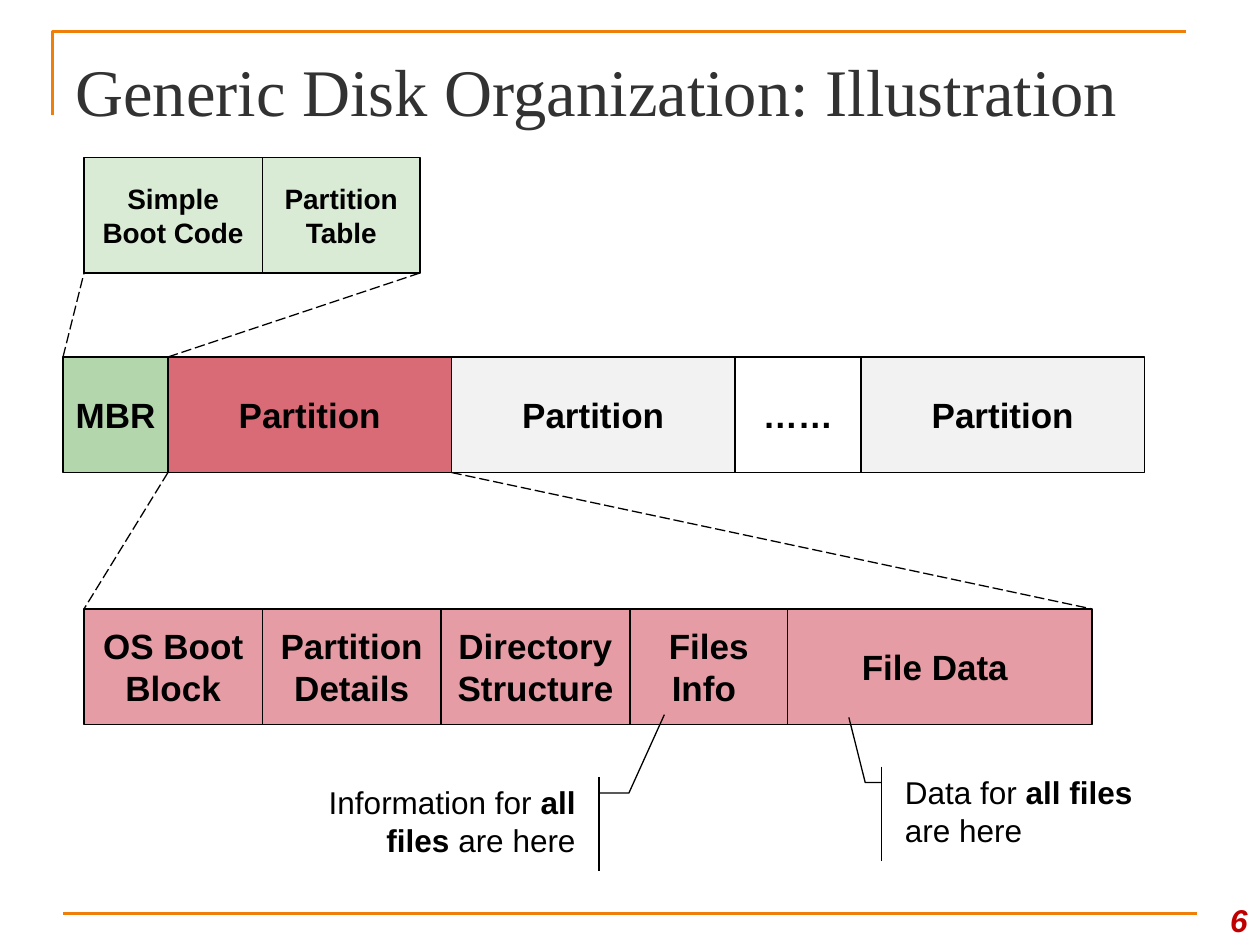
from itertools import pairwise

from lxml import etree
from pptx import Presentation
from pptx import util as u
from pptx.dml.color import RGBColor
from pptx.enum import dml, shapes, text
from pptx.oxml.ns import qn

BLACK, ORANGE = "000000", "F07F09"
GREEN, PALE_GREEN = "B3D6AC", "D9EAD5"
RED, PALE_RED = "D96B77", "E69CA4"
GREY, WHITE = "F2F2F2", "FFFFFF"
ROW_HEIGHT = 11


def color(hex_string):
    return RGBColor.from_string(hex_string)


def grid(steps):
    """Length on the diagram grid, twelve steps to 2.54 cm."""
    return u.Cm(steps * 2.54 / 12)


def style_line(line, hex_string, width):
    line.color.rgb = color(hex_string)
    line.width = u.Pt(width)


def style_font(font, size, hex_string=BLACK, name="Arial", bold=None, italic=None):
    font.name, font.size = name, u.Pt(size)
    font.bold, font.italic = bold, italic
    font.color.rgb = color(hex_string)


def add_label(slide, place, words, align, **font):
    box = slide.shapes.add_textbox(*(u.Cm(length) for length in place))
    frame = box.text_frame
    frame.word_wrap = True
    frame.vertical_anchor = text.MSO_ANCHOR.BOTTOM
    paragraph = frame.paragraphs[0]
    paragraph.text, paragraph.alignment = words, align
    style_font(paragraph.font, **font)


def add_row(slide, top, edges, cells, size, wrap=True):
    """Adjoining boxes between the given edges, all in grid steps."""
    for (left, right), (words, fill) in zip(pairwise(edges), cells):
        cell = slide.shapes.add_shape(
            shapes.MSO_SHAPE.RECTANGLE,
            grid(left), grid(top), grid(right - left), grid(ROW_HEIGHT))
        cell.shadow.inherit = False
        cell.fill.solid()
        cell.fill.fore_color.rgb = color(fill)
        style_line(cell.line, BLACK, 0.75)
        frame = cell.text_frame
        frame.word_wrap = wrap
        frame.vertical_anchor = text.MSO_ANCHOR.MIDDLE
        paragraph = frame.paragraphs[0]
        paragraph.text, paragraph.alignment = words, text.PP_ALIGN.CENTER
        style_font(paragraph.font, size, bold=True)


def add_line(slide, start, end, hex_string=BLACK, width=0.75, dash=None):
    line = slide.shapes.add_connector(
        shapes.MSO_CONNECTOR.STRAIGHT, *map(grid, start + end))
    style_line(line.line, hex_string, width)
    line.line.dash_style = dash
    etree.SubElement(line._element.spPr, qn("a:effectLst"))


def add_callout(slide, place, adjustments, lead, align):
    callout = slide.shapes.add_shape(
        shapes.MSO_SHAPE.LINE_CALLOUT_2_ACCENT_BAR, *map(grid, place))
    for index, value in enumerate(adjustments):
        callout.adjustments[index] = value
    callout.shadow.inherit = False
    callout.fill.background()
    style_line(callout.line, BLACK, 0.75)
    frame = callout.text_frame
    frame.word_wrap = True
    frame.vertical_anchor = text.MSO_ANCHOR.TOP
    paragraph = frame.paragraphs[0]
    paragraph.alignment = align
    style_font(paragraph.font, 18)
    for words, bold in ((lead, False), ("all files ", True), ("are here", False)):
        run = paragraph.add_run()
        run.text, run.font.bold = words, bold


def add_corner(slide):
    """Open angle above and left of the title."""
    builder = slide.shapes.build_freeform(grid(5), grid(11))
    builder.add_line_segments(
        [(grid(5), grid(3)), (grid(113), grid(3))], close=False)
    corner = builder.convert_to_shape()
    corner.shadow.inherit = False
    corner.fill.background()
    style_line(corner.line, ORANGE, 1.5)


def main():
    prs = Presentation()
    prs.slide_width, prs.slide_height = u.Cm(25.4), u.Cm(19.05)
    slide = prs.slides.add_slide(prs.slide_layouts[6])
    left, right = text.PP_ALIGN.LEFT, text.PP_ALIGN.RIGHT

    # Frame, title and page number
    add_corner(slide)
    add_line(slide, (6, 87), (114, 87), ORANGE, 1.5)
    add_label(slide, (23.93, 17.78, 1.47, 1.27), "6", right,
              size=18, hex_string="C00000", bold=True, italic=True)
    add_label(slide, (1.27, 0.76, 22.86, 1.98),
              "Generic Disk Organization: Illustration", left,
              size=38, hex_string="323232", name="Times New Roman")

    # Whole disk, then the contents of the MBR and of one partition
    mbr_top, disk_top, partition_top = 15, 34, 58
    disk = (6, 16, 43, 70, 82, 109)
    mbr = (8, 25, 40)
    partition = (8, 25, 42, 60, 75, 104)
    add_row(slide, disk_top, disk,
            [("MBR", GREEN), ("Partition", RED), ("Partition", GREY),
             ("……", WHITE), ("Partition", GREY)], 20, wrap=False)
    add_row(slide, mbr_top, mbr,
            [("Simple Boot Code", PALE_GREEN), ("Partition Table", PALE_GREEN)], 16)
    add_row(slide, partition_top, partition,
            [(words, PALE_RED) for words in (
                "OS Boot Block", "Partition Details", "Directory Structure",
                "Files Info ", "File Data ")], 20)

    # Dashed lines from each part to its enlarged view
    mbr_bottom, disk_bottom = mbr_top + ROW_HEIGHT, disk_top + ROW_HEIGHT
    for start, end in (
            ((disk[0], disk_top), (mbr[0], mbr_bottom)),
            ((disk[1], disk_top), (mbr[-1], mbr_bottom)),
            ((disk[1], disk_bottom), (partition[0], partition_top)),
            ((disk[2], disk_bottom), (partition[-1], partition_top))):
        add_line(slide, start, end, dash=dml.MSO_LINE.LONG_DASH)

    # Callouts
    add_callout(slide, (85, 73, 26, 9),
                (0.17, -0.04, 0.17, -0.1, -0.52, -0.16), "Data for ", left)
    add_callout(slide, (30, 74, 26, 9),
                (0.17, 1.04, 0.17, 1.15, -0.66, 1.28), "Information for ", right)

    prs.save("out.pptx")


if __name__ == "__main__":
    main()
